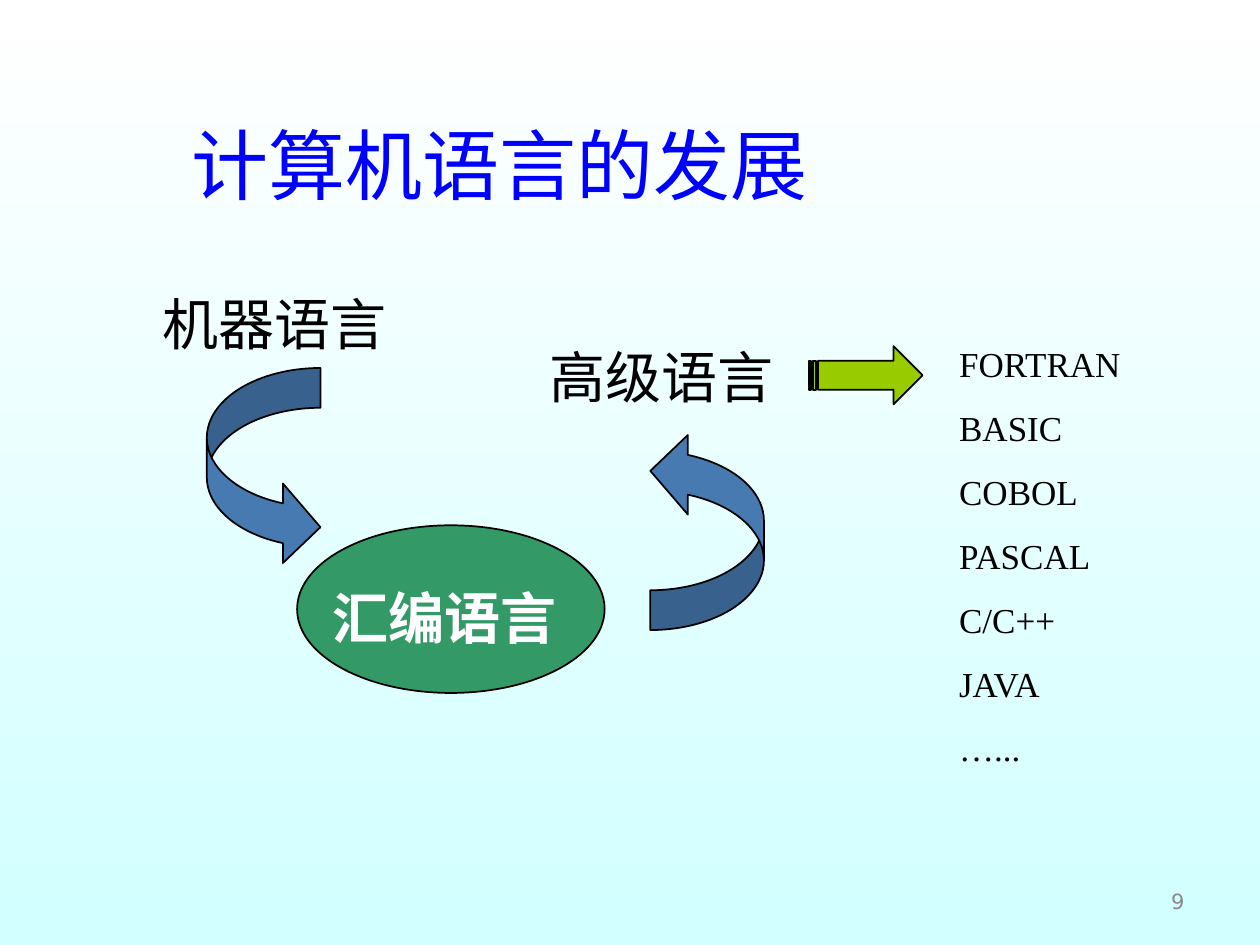
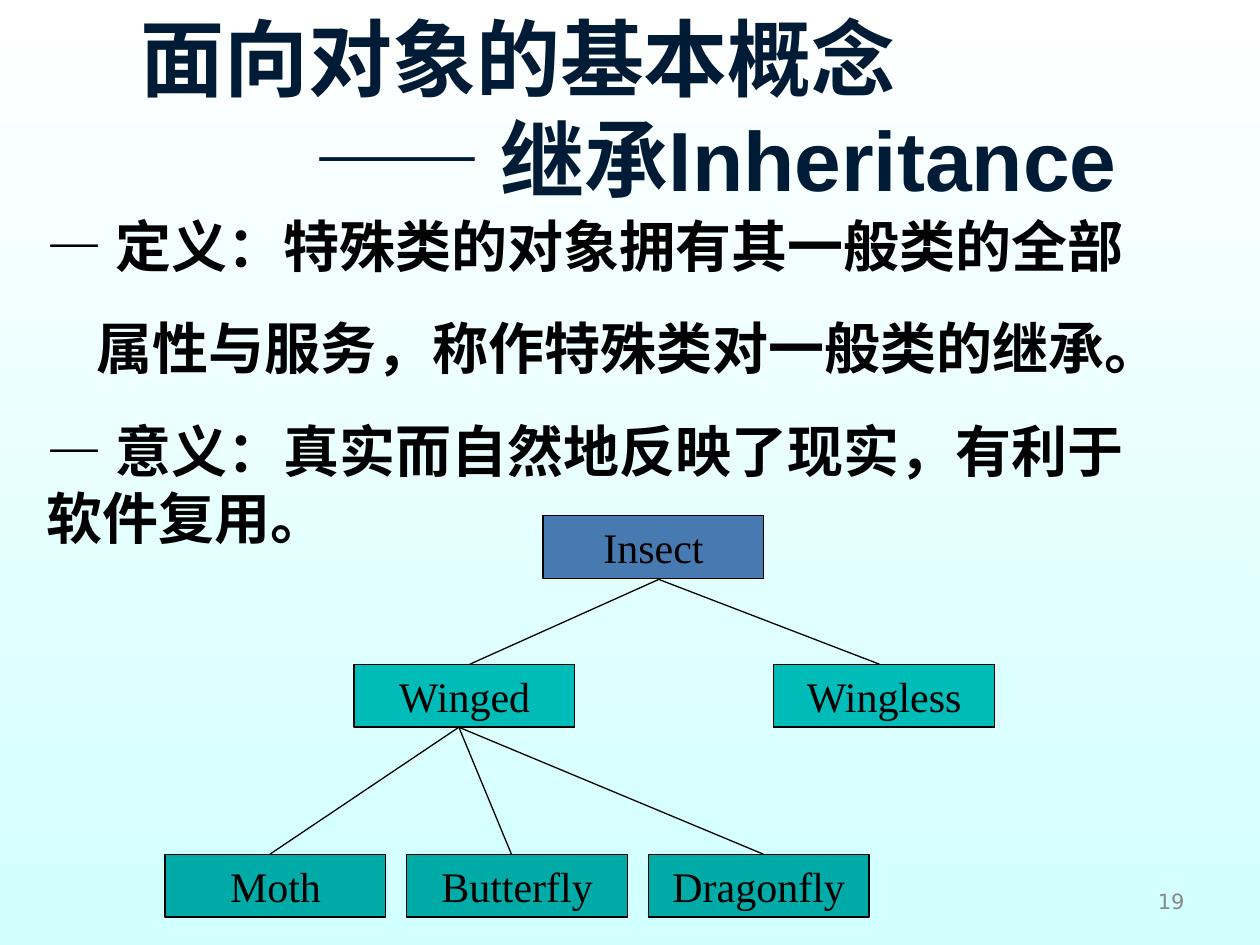
from dataclasses import dataclass

from lxml.etree import SubElement
from pptx import Presentation
from pptx.dml.color import RGBColor
from pptx.enum.shapes import MSO_CONNECTOR, MSO_SHAPE as SHAPE
from pptx.enum.text import MSO_ANCHOR as ANCHOR, MSO_AUTO_SIZE, PP_ALIGN as ALIGN
from pptx.oxml.ns import qn
from pptx.util import Cm, Pt


@dataclass(frozen=True)
class Theme:
    sans: str = "Arial"
    serif: str = "Times New Roman"
    number_font: str = "DejaVu Sans"
    sky_top: str = "FFFFFF"
    sky_bottom: str = "D2FFFF"
    ink: str = "000000"
    white: str = "FFFFFF"
    gray: str = "898989"
    title_blue: str = "0000FF"
    title_navy: str = "001B36"
    blue: str = "477AB1"
    green: str = "339966"
    lime: str = "99CC00"
    teal: str = "00BCB8"
    deep_teal: str = "00AAA6"
    title_size: int = 44
    big_title_size: int = 48
    text_size: int = 32
    node_size: int = 24
    list_size: int = 20
    number_size: int = 12


T = Theme()


def rgb(value):
    return RGBColor.from_string(value)


class Deck:
    def __init__(self):
        self.prs = Presentation()
        self.prs.slide_width, self.prs.slide_height = Cm(25.4), Cm(19.05)
        self.slide = None
        fill = self.prs.slide_master.background.fill
        fill.gradient()
        fill.gradient_angle = 270
        for stop, color in zip(fill.gradient_stops, (T.sky_top, T.sky_bottom)):
            stop.color.rgb = rgb(color)

    def new_slide(self, number):
        self.slide = self.prs.slides.add_slide(self.prs.slide_layouts[1])
        self.label(str(number), (18.21, 17.65, 5.92, 1.02), T.number_size,
                   font=T.number_font, color=T.gray, align=ALIGN.RIGHT,
                   anchor=ANCHOR.MIDDLE)

    def set_text(self, sp, text, size, font=T.serif, color=T.ink, bold=False,
                 align=ALIGN.LEFT, anchor=ANCHOR.TOP, before=0, indents=()):
        """Fill a shape with paragraphs; indents maps paragraph index to cm."""
        tf = sp.text_frame
        tf.text = text
        tf.word_wrap = True
        tf.auto_size = MSO_AUTO_SIZE.NONE
        tf.vertical_anchor = anchor
        indents = dict(indents)
        for i, p in enumerate(tf.paragraphs):
            p.alignment = align
            p.space_before = Pt(before)
            pPr = p._p.get_or_add_pPr()
            pPr.set("marL", str(Cm(indents.get(i, 0))))
            pPr.set("indent", "0")
            SubElement(pPr, qn("a:buNone"))
            for r in p.runs:
                r.font.size, r.font.name, r.font.bold = Pt(size), font, bold
                r.font.color.rgb = rgb(color)

    def placeholder(self, index, text, box, size, **style):
        sp = self.slide.placeholders[index]
        sp.left, sp.top, sp.width, sp.height = map(Cm, box)
        self.set_text(sp, text, size, **style)

    def title(self, text, box, size, **style):
        self.placeholder(0, text, box, size, font=T.sans, **style)

    def body(self, text, box, size, **style):
        self.placeholder(1, text, box, size, **style)

    def label(self, text, box, size, **style):
        sp = self.slide.shapes.add_textbox(*map(Cm, box))
        self.set_text(sp, text, size, **style)

    def shape(self, kind, box, fill, line=1, adjustments=(), rotation=0):
        sp = self.slide.shapes.add_shape(kind, *map(Cm, box))
        sp.shadow.inherit = False
        sp.fill.solid()
        sp.fill.fore_color.rgb = rgb(fill)
        sp.line.color.rgb = rgb(T.ink)
        sp.line.width = Pt(line)
        sp.rotation = rotation
        for i, value in enumerate(adjustments):
            sp.adjustments[i] = value
        return sp

    def node(self, text, left, top, fill):
        sp = self.shape(SHAPE.RECTANGLE, (left, top, 4.45, 1.27), fill, line=0.75)
        self.set_text(sp, text, T.node_size, align=ALIGN.CENTER)

    def line(self, start, end):
        cn = self.slide.shapes.add_connector(
            MSO_CONNECTOR.STRAIGHT, *map(Cm, (*start, *end)))
        cn.line.color.rgb = rgb(T.ink)
        cn.line.width = Pt(0.75)
        SubElement(cn._element.spPr, qn("a:effectLst"))


def language_history(deck):
    deck.new_slide(9)
    deck.title("计算机语言的发展", (3.61, 1.7, 19.05, 3.18), T.title_size,
               color=T.title_blue, anchor=ANCHOR.MIDDLE)
    deck.shape(SHAPE.OVAL, (5.99, 10.59, 6.2, 3.38), T.green)
    for text, left, top, color in (
            ("机器语言", 3.02, 5.72, T.ink),
            ("汇编语言", 6.45, 11.63, T.white),
            ("高级语言", 10.82, 6.78, T.ink)):
        deck.label(text, (left, top, 5.51, 1.63), T.text_size,
                   color=color, bold=color == T.white)
    for left, top, rotation in ((4.17, 7.42, 0), (13.11, 8.69, 180)):
        deck.shape(SHAPE.CURVED_RIGHT_ARROW, (left, top, 2.29, 4.01), T.blue,
                   adjustments=(0.35, 0.7, 0.33), rotation=rotation)
    languages = ("FORTRAN", "BASIC", "COBOL", "PASCAL", "C/C++", "JAVA", "…...")
    deck.body("\n".join(languages), (19.08, 6.78, 5.28, 10.13), T.list_size,
              before=12.5)
    deck.shape(SHAPE.STRIPED_RIGHT_ARROW, (16.31, 6.98, 2.29, 1.17), T.lime)


def inheritance(deck):
    deck.new_slide(19)
    deck.title("面向对象的基本概念\n—— 继承Inheritance", (2.57, 0, 21.87, 6.35),
               T.big_title_size, color=T.title_navy, bold=True, indents={1: 3.5})
    deck.body("— 定义：特殊类的对象拥有其一般类的全部\n"
              "属性与服务，称作特殊类对一般类的继承。\n"
              "— 意义：真实而自然地反映了现实，有利于\v软件复用。",
              (0.69, 4.14, 24.1, 7.09), T.text_size, font=T.sans, bold=True,
              before=20, indents={1: 1})

    deck.node("Insect", 10.95, 10.39, T.blue)
    for text, left in (("Winged", 7.14), ("Wingless", 15.6)):
        deck.node(text, left, 13.39, T.teal)
    for i, text in enumerate(("Moth", "Butterfly", "Dragonfly")):
        deck.node(text, 3.33 + i * 4.87, 17.22, T.deep_teal)

    forks = (((13.28, 11.68), 13.39, (9.47, 17.73)),
             ((9.25, 14.66), 17.22, (5.44, 10.31, 15.39)))
    for start, child_top, child_xs in forks:
        for x in child_xs:
            deck.line(start, (x, child_top))


def main():
    deck = Deck()
    language_history(deck)
    inheritance(deck)
    deck.prs.save("out.pptx")


if __name__ == "__main__":
    main()
